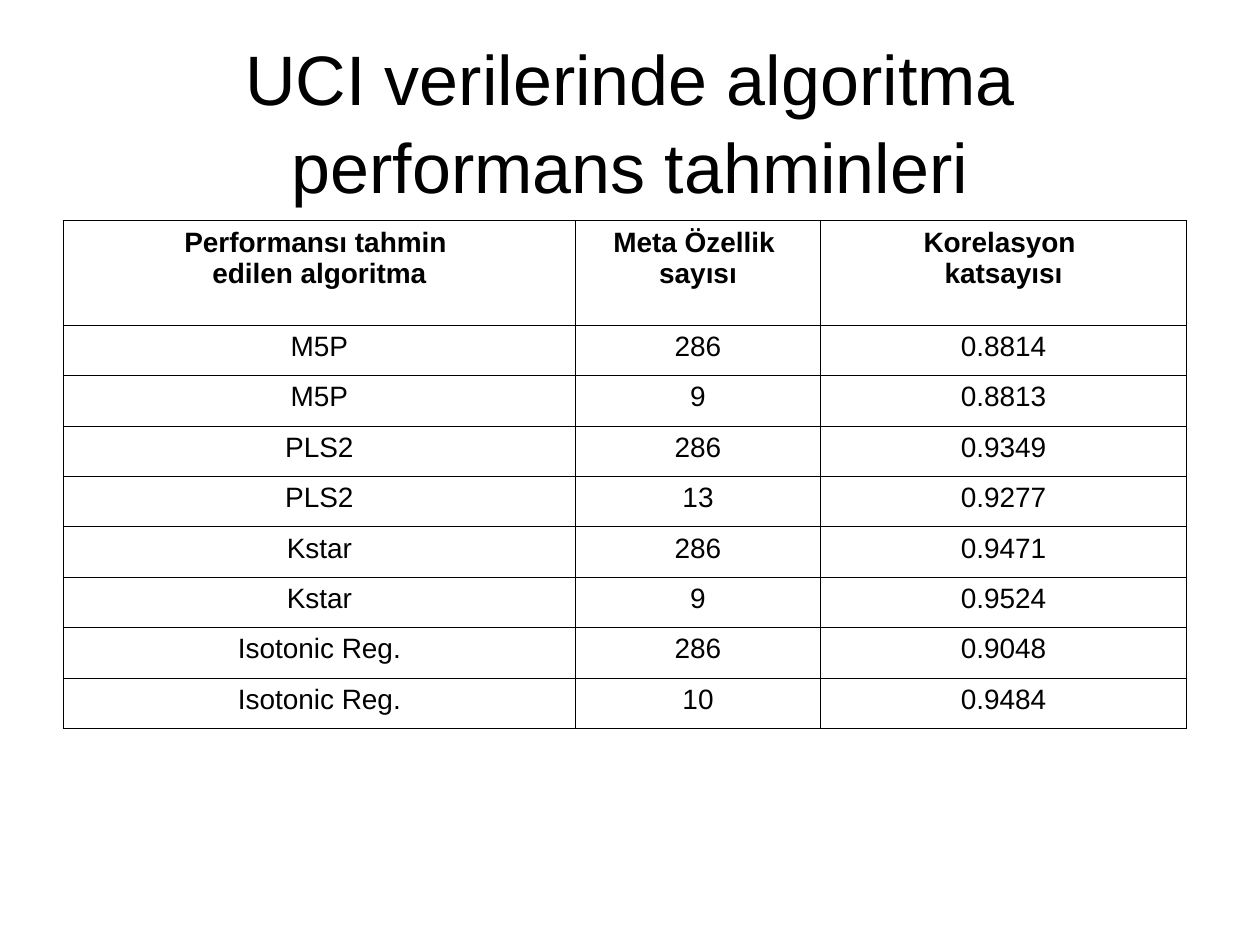
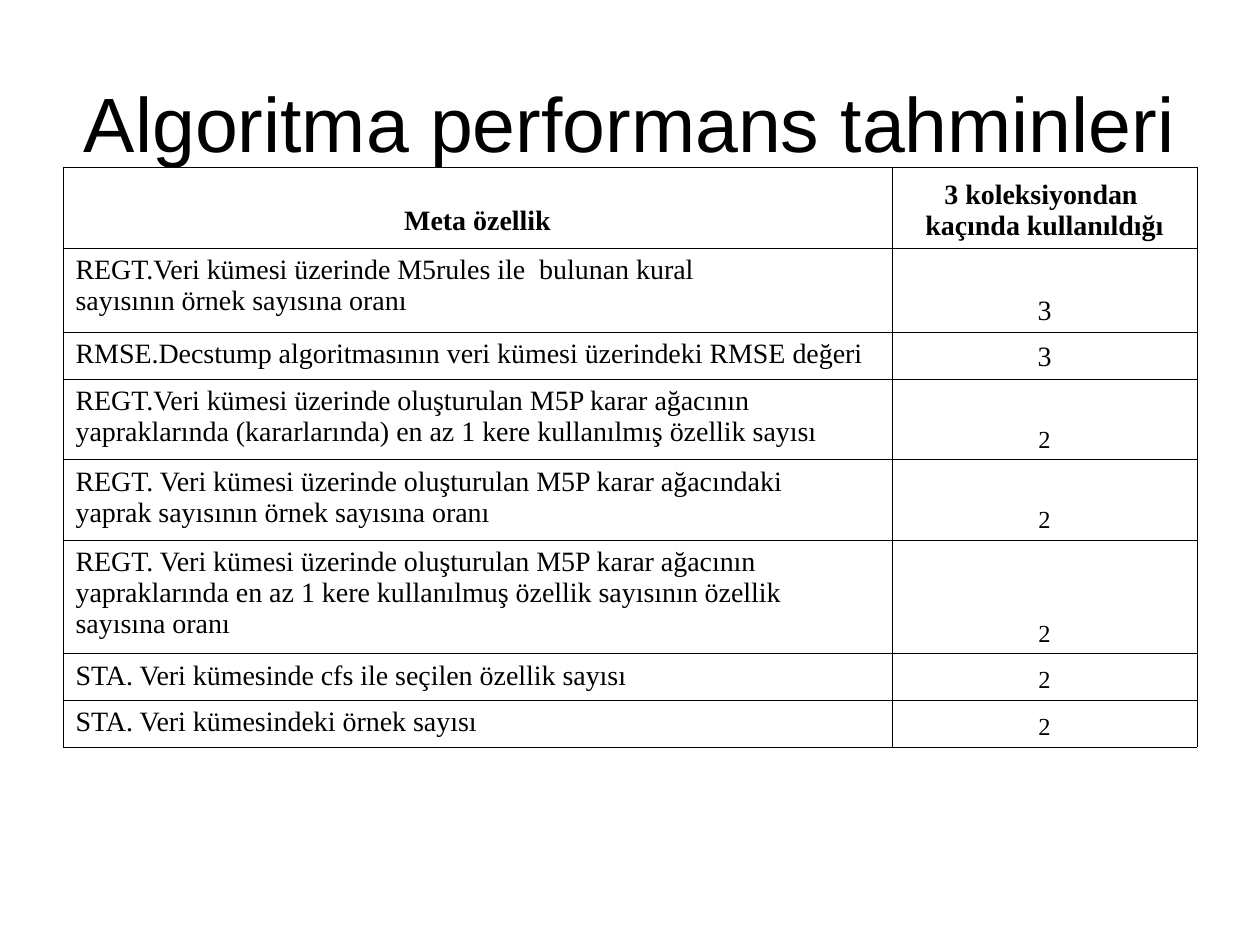
from lxml.etree import SubElement
from pptx import Presentation
from pptx.dml.color import RGBColor
from pptx.enum.text import MSO_ANCHOR, PP_ALIGN
from pptx.oxml.ns import qn
from pptx.util import Inches, Pt

BLACK = "000000"
SANS, SERIF = "Arial", "Times New Roman"
CENTER, JUSTIFY = PP_ALIGN.CENTER, PP_ALIGN.JUSTIFY
TOP, BOTTOM = MSO_ANCHOR.TOP, MSO_ANCHOR.BOTTOM


def color(value):
    return RGBColor.from_string(value)


def write(tf, text, size=16, font=SANS, bold=False, align=CENTER, spacing=None):
    for i, line in enumerate(text.split("\n")):
        p = tf.paragraphs[0] if i == 0 else tf.add_paragraph()
        p.alignment = align
        if spacing:
            p.line_spacing = spacing
        r = p.add_run()
        r.text = line
        r.font.size = Pt(size)
        r.font.name = font
        r.font.bold = bold
        r.font.color.rgb = color(BLACK)


class Deck:
    def __init__(self):
        self.prs = Presentation()
        self.prs.slide_width, self.prs.slide_height = Inches(10), Inches(7.5)
        self.s = None

    def slide(self, title, size):
        self.s = self.prs.slides.add_slide(self.prs.slide_layouts[6])
        sp = self.s.shapes.add_textbox(Inches(0.5), Inches(0.3), Inches(9), Inches(1.25))
        tf = sp.text_frame
        tf.word_wrap = True
        tf.vertical_anchor = MSO_ANCHOR.MIDDLE
        tf.margin_top = Inches(0.1)
        write(tf, title, size=size, spacing=1.04)

    def border(self, cell):
        tc_pr = cell._tc.get_or_add_tcPr()
        for side in ("lnL", "lnR", "lnT", "lnB"):
            ln = SubElement(tc_pr, qn(f"a:{side}"), w=str(Pt(0.45)))
            fill = SubElement(ln, qn("a:solidFill"))
            SubElement(fill, qn("a:srgbClr"), val=BLACK)

    def table(self, top, widths, heights, rows, font, aligns, anchors, small=()):
        frame = self.s.shapes.add_table(
            len(rows), len(widths), Inches(0.5), Inches(top),
            Inches(sum(widths)), Inches(sum(heights)))
        table = frame.table
        table.first_row = table.horz_banding = False
        for column, width in zip(table.columns, widths):
            column.width = Inches(width)
        for i, (row, height) in enumerate(zip(rows, heights)):
            table.rows[i].height = Inches(height)
            for j, text in enumerate(row):
                cell = table.cell(i, j)
                self.border(cell)
                cell.fill.background()
                cell.vertical_anchor = anchors[j]
                write(cell.text_frame, text, size=14 if text in small else 16,
                      font=font, bold=i == 0, align=aligns[j] if i else CENTER)
        return table


def main():
    deck = Deck()

    deck.slide("UCI verilerinde algoritma performans tahminleri", 40)
    correlations = [
        ("Performansı tahmin \nedilen algoritma", "Meta Özellik \nsayısı", "Korelasyon \nkatsayısı"),
        ("M5P", "286", "0.8814"),
        ("M5P", "9", "0.8813"),
        ("PLS2", "286", "0.9349"),
        ("PLS2", "13", "0.9277"),
        ("Kstar", "286", "0.9471"),
        ("Kstar", "9", "0.9524"),
        ("Isotonic Reg.", "286", "0.9048"),
        ("Isotonic Reg.", "10", "0.9484"),
    ]
    deck.table(1.75, [4.07, 1.94, 2.91], [0.83] + [0.4] * 8, correlations,
               SANS, [CENTER] * 3, [TOP] * 3)

    deck.slide("Algoritma performans tahminleri", 44)
    meta_features = [
        ("Meta özellik", "3 koleksiyondan \nkaçında kullanıldığı"),
        ("REGT.Veri kümesi üzerinde M5rules ile  bulunan kural \n"
         "sayısının örnek sayısına oranı ", "3"),
        ("RMSE.Decstump algoritmasının veri kümesi üzerindeki RMSE değeri", "3"),
        ("REGT.Veri kümesi üzerinde oluşturulan M5P karar ağacının \n"
         "yapraklarında (kararlarında) en az 1 kere kullanılmış özellik sayısı ", "2"),
        ("REGT. Veri kümesi üzerinde oluşturulan M5P karar ağacındaki \n"
         "yaprak sayısının örnek sayısına oranı ", "2"),
        ("REGT. Veri kümesi üzerinde oluşturulan M5P karar ağacının \n"
         "yapraklarında en az 1 kere kullanılmuş özellik sayısının özellik \n"
         "sayısına oranı ", "2"),
        ("STA. Veri kümesinde cfs ile seçilen özellik sayısı", "2"),
        ("STA. Veri kümesindeki örnek sayısı", "2"),
    ]
    table = deck.table(1.33, [6.58, 2.42], [0.64, 0.67, 0.37, 0.64, 0.64, 0.9, 0.37, 0.37],
                       meta_features, SERIF, [JUSTIFY, CENTER], [TOP, BOTTOM], small=("2",))
    table.cell(0, 0).margin_top = Inches(0.3)

    deck.prs.save("out.pptx")


if __name__ == "__main__":
    main()
